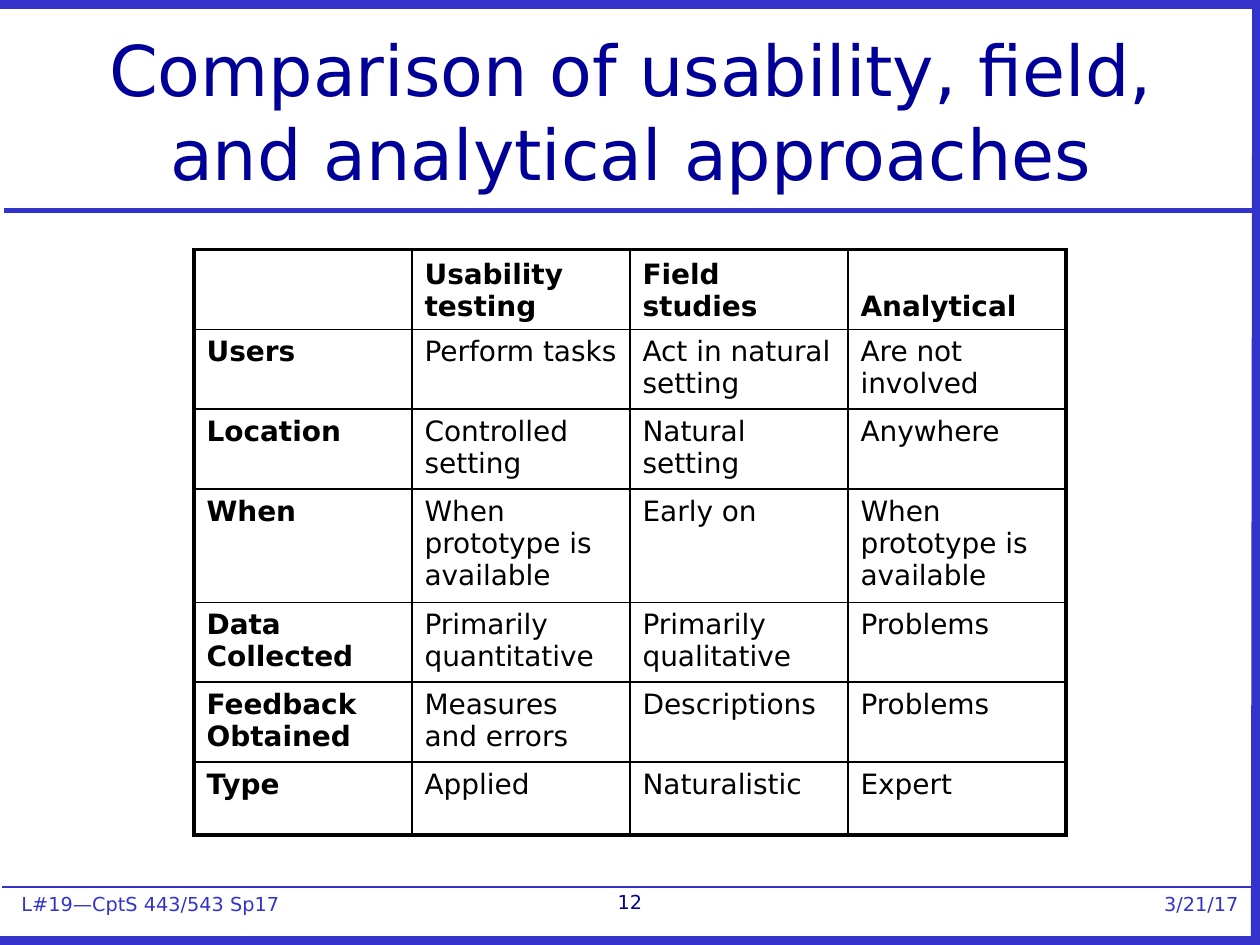
from typing import NamedTuple

from pptx import Presentation
from pptx.dml.color import RGBColor
from pptx.enum.shapes import MSO_CONNECTOR, MSO_SHAPE
from pptx.enum.text import MSO_ANCHOR, PP_ALIGN
from pptx.oxml.ns import qn
from pptx.util import Inches, Pt
from lxml import etree

FONT = "DejaVu Sans"
BLUE = RGBColor(0x33, 0x33, 0xCC)
NAVY = RGBColor(0x00, 0x00, 0x99)
BLACK = RGBColor(0x00, 0x00, 0x00)
WHITE = RGBColor(0xFF, 0xFF, 0xFF)

STRAIGHT = MSO_CONNECTOR.STRAIGHT
RECTANGLE = MSO_SHAPE.RECTANGLE
TOP, MIDDLE, BOTTOM = MSO_ANCHOR.TOP, MSO_ANCHOR.MIDDLE, MSO_ANCHOR.BOTTOM
LEFT, CENTER, RIGHT = PP_ALIGN.LEFT, PP_ALIGN.CENTER, PP_ALIGN.RIGHT


class Rule(NamedTuple):
    x1: float
    y1: float
    x2: float
    y2: float
    width: float


class Label(NamedTuple):
    text: str
    left: float
    top: float
    width: float
    height: float
    align: PP_ALIGN
    size: float = 11
    color: RGBColor = BLUE
    anchor: MSO_ANCHOR = TOP


RULES = [
    Rule(0.03, 1.67, 9.97, 1.67, 3),    # under the title
    Rule(-0.01, 0.03, 9.98, 0.03, 6),   # top edge
    Rule(-0.01, 7.47, 9.98, 7.47, 6),   # bottom edge
    Rule(9.97, 7.51, 9.98, 0, 6),       # right edge
    Rule(0.02, 7.04, 9.95, 7.04, 1),    # above the footer
]
COURSE = Label("L#19—CptS 443/543 Sp17", 0.17, 7.08, 2.5, 0.18, LEFT)
DATE = Label("3/21/17", 7.5, 7.08, 2.33, 0.18, RIGHT)
PAGE_NUMBER = Label("12", 0.25, 7.02, 9.5, 0.17, CENTER, color=NAVY)
TITLE = Label("Comparison of usability, field, and analytical approaches",
              0.17, 0.17, 9.67, 1.42, CENTER, 40, NAVY, MIDDLE)

COMPARISON = [
    ["", "Usability testing", "Field studies", "Analytical"],
    ["Users", "Perform tasks", "Act in natural setting", "Are not involved"],
    ["Location", "Controlled setting", "Natural setting", "Anywhere"],
    ["When", "When prototype is available", "Early on",
     "When prototype is available"],
    ["Data Collected", "Primarily quantitative", "Primarily qualitative",
     "Problems"],
    ["Feedback Obtained", "Measures and errors", "Descriptions", "Problems"],
    ["Type", "Applied", "Naturalistic", "Expert"],
]
TABLE_LEFT, TABLE_TOP = 1.54, 1.98
COLUMN_WIDTH, HEADER_HEIGHT, ROW_HEIGHT = 1.73, 0.41, 0.58
INNER_BORDER, OUTER_BORDER = 1, 2.25


def style_paragraph(paragraph, size: float, color: RGBColor,
                    bold: bool = False) -> None:
    font = paragraph.font
    font.name, font.size, font.bold = FONT, Pt(size), bold
    font.color.rgb = color


def write_label(shape, label: Label) -> None:
    frame = shape.text_frame
    frame.word_wrap = True
    frame.vertical_anchor = label.anchor
    frame.text = label.text
    paragraph = frame.paragraphs[0]
    paragraph.alignment = label.align
    style_paragraph(paragraph, label.size, label.color)


def label_bounds(label: Label) -> list[Inches]:
    return [Inches(value) for value in label[1:5]]


def add_text(slide, label: Label) -> None:
    write_label(slide.shapes.add_textbox(*label_bounds(label)), label)


def add_footer(slide, label: Label) -> None:
    shape = slide.shapes.add_shape(RECTANGLE, *label_bounds(label))
    shape.shadow.inherit = False
    shape.fill.solid()
    shape.fill.fore_color.rgb = WHITE
    shape.line.fill.background()
    write_label(shape, label)
    frame = shape.text_frame
    frame.margin_left = frame.margin_right = 0
    frame.margin_top = frame.margin_bottom = 0


def add_rule(slide, rule: Rule) -> None:
    ends = [Inches(value) for value in rule[:4]]
    connector = slide.shapes.add_connector(STRAIGHT, *ends)
    connector.line.color.rgb = BLUE
    connector.line.width = Pt(rule.width)
    etree.SubElement(connector._element.spPr, qn("a:effectLst"))


def set_borders(cell, outer_sides: dict[str, bool]) -> None:
    properties = cell._tc.get_or_add_tcPr()
    for index, (side, is_outer) in enumerate(outer_sides.items()):
        width = Pt(OUTER_BORDER if is_outer else INNER_BORDER)
        border = etree.Element(qn(f"a:ln{side}"), w=str(width))
        fill = etree.SubElement(border, qn("a:solidFill"))
        etree.SubElement(fill, qn("a:srgbClr"), val=str(BLACK))
        properties.insert(index, border)


def add_comparison(slide, rows: list[list[str]]) -> None:
    row_count, column_count = len(rows), len(rows[0])
    height = HEADER_HEIGHT + ROW_HEIGHT * (row_count - 1)
    table = slide.shapes.add_table(
        row_count, column_count, Inches(TABLE_LEFT), Inches(TABLE_TOP),
        Inches(COLUMN_WIDTH * column_count), Inches(height)).table
    table.first_row = table.horz_banding = False
    for column in table.columns:
        column.width = Inches(COLUMN_WIDTH)
    for r, texts in enumerate(rows):
        table.rows[r].height = Inches(ROW_HEIGHT if r else HEADER_HEIGHT)
        for c, text in enumerate(texts):
            cell = table.cell(r, c)
            cell.text = text
            cell.vertical_anchor = TOP if r else BOTTOM
            cell.fill.background()
            style_paragraph(cell.text_frame.paragraphs[0], 16, BLACK,
                            bold=r == 0 or c == 0)
            set_borders(cell, {"L": c == 0, "R": c == column_count - 1,
                               "T": r == 0, "B": r == row_count - 1})


def main() -> None:
    presentation = Presentation()
    presentation.slide_width = Inches(10)
    presentation.slide_height = Inches(7.5)
    slide = presentation.slides.add_slide(presentation.slide_layouts[6])

    # Footer labels and frame lines
    for label in (COURSE, DATE):
        add_footer(slide, label)
    for rule in RULES:
        add_rule(slide, rule)

    # Page number and title
    for label in (PAGE_NUMBER, TITLE):
        add_text(slide, label)

    # Comparison table
    add_comparison(slide, COMPARISON)

    presentation.save("out.pptx")


if __name__ == "__main__":
    main()
